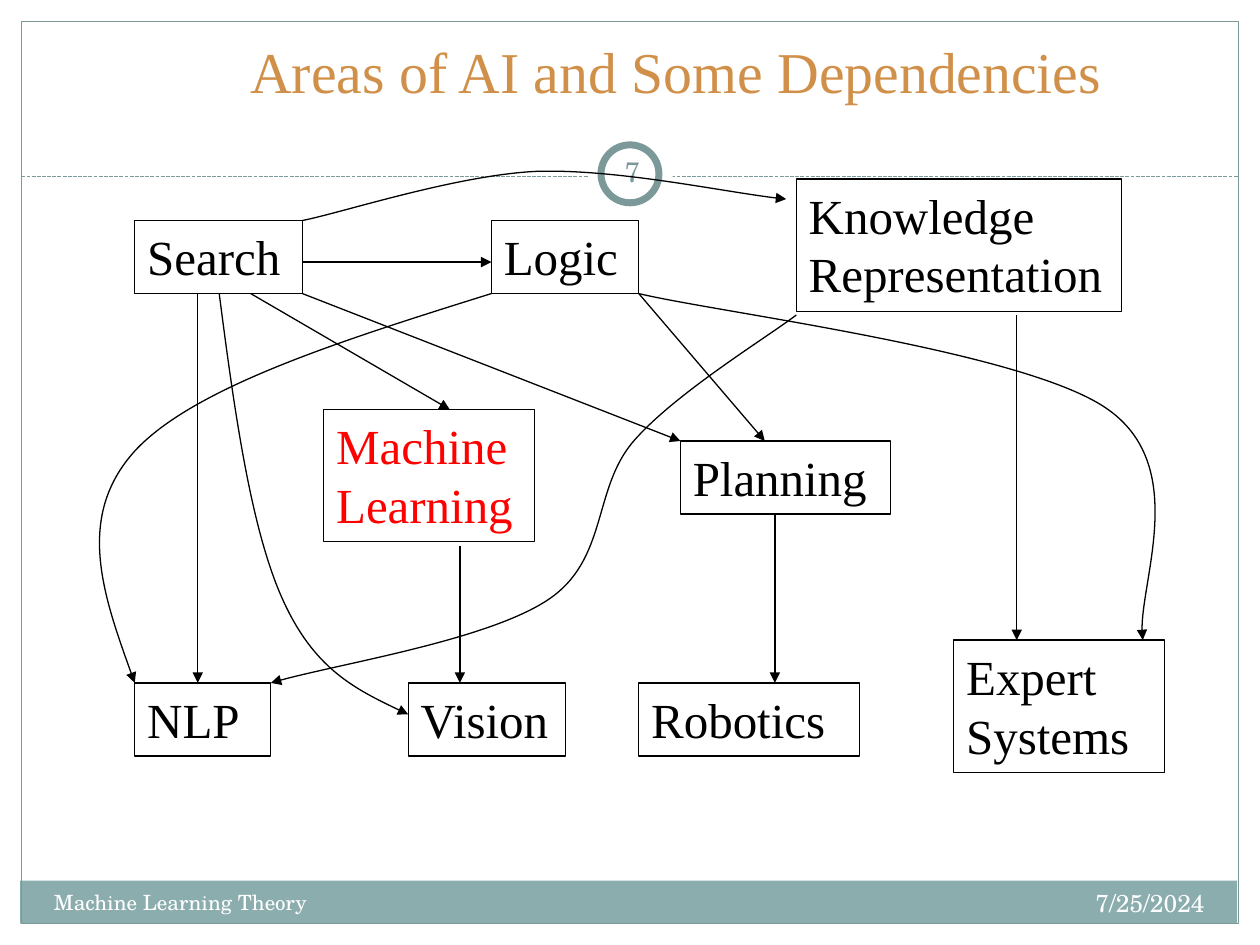
"""Build a slide that maps areas of AI and the dependencies between them."""
from typing import NamedTuple

from lxml import etree
from pptx import Presentation
from pptx.dml.color import RGBColor
from pptx.enum.dml import MSO_LINE
from pptx.enum.shapes import MSO_CONNECTOR, MSO_SHAPE
from pptx.enum.text import MSO_ANCHOR, PP_ALIGN
from pptx.oxml.ns import qn
from pptx.util import Inches, Pt

RECTANGLE, OVAL = MSO_SHAPE.RECTANGLE, MSO_SHAPE.OVAL
STRAIGHT, DASHED = MSO_CONNECTOR.STRAIGHT, MSO_LINE.SQUARE_DOT
TOP, MIDDLE, BOTTOM = MSO_ANCHOR.TOP, MSO_ANCHOR.MIDDLE, MSO_ANCHOR.BOTTOM
LEFT, CENTER, RIGHT = PP_ALIGN.LEFT, PP_ALIGN.CENTER, PP_ALIGN.RIGHT

COLORS = {
    "white": "FFFFFF",
    "black": "000000",
    "band": "8CADAE",
    "frame": "7C999A",
    "title": "D19049",
    "highlight": "FF0000",
}
SERIF, SCHOOL = "Times New Roman", "TeX Gyre Schola"
ONE_LINE, TWO_LINES = 0.58, 1.05

Point = tuple[float, float]


class Box(NamedTuple):
    left: float
    top: float
    width: float
    height: float


class Decoration(NamedTuple):
    box: Box
    kind: int
    fill: str | None = None
    line: str | None = None
    weight: float = 0.75


class Label(NamedTuple):
    text: str
    box: Box
    size: float
    font: str
    color: str
    align: int = LEFT
    anchor: int = TOP
    inset: float = 0.1


class Area(NamedTuple):
    text: str
    box: Box
    color: str = "black"


class Arrow(NamedTuple):
    start: Point
    end: Point


class Curve(NamedTuple):
    start: Point
    controls: list[Point]


DECORATIONS = [
    Decoration(Box(0.16, 6.99, 9.66, 0.34), RECTANGLE, "band"),
    Decoration(Box(0.17, 0.17, 9.66, 7.16), RECTANGLE, None, "frame"),
]
NUMBER_RING = [
    Decoration(Box(4.67, 1.05, 0.67, 0.67), OVAL, "white"),
    Decoration(Box(4.77, 1.15, 0.46, 0.46), OVAL, "white", "frame", 4),
]
LABELS = [
    Label("Areas of AI and Some Dependencies", Box(1.06, 0.16, 8.61, 0.72),
          33, SERIF, "title", CENTER, BOTTOM),
    Label("7/25/2024", Box(6.33, 7, 3.33, 0.4), 14, SCHOOL, "white", RIGHT),
    Label("Machine Learning Theory", Box(0.33, 7.01, 5.75, 0.4), 12, SCHOOL, "white"),
    Label("7", Box(4.77, 1.12, 0.5, 0.48), 16, SCHOOL, "frame", CENTER, MIDDLE, 0.05),
]
AREAS = [
    Area("Search", Box(1.07, 1.75, 1.33, ONE_LINE)),
    Area("Logic", Box(3.9, 1.75, 1.17, ONE_LINE)),
    Area("Knowledge Representation", Box(6.32, 1.42, 2.58, TWO_LINES)),
    Area("Machine Learning", Box(2.57, 3.25, 1.67, TWO_LINES), "highlight"),
    Area("Planning", Box(5.4, 3.5, 1.67, ONE_LINE)),
    Area("NLP", Box(1.07, 5.42, 1.08, ONE_LINE)),
    Area("Vision", Box(3.24, 5.42, 1.25, ONE_LINE)),
    Area("Robotics", Box(5.07, 5.42, 1.75, ONE_LINE)),
    Area("Expert Systems", Box(7.57, 5.08, 1.67, TWO_LINES)),
]
ARROWS = [
    Arrow((1.57, 2.33), (1.57, 5.42)),
    Arrow((2.4, 2.08), (3.9, 2.08)),
    Arrow((2.4, 2.33), (5.4, 3.5)),
    Arrow((1.99, 2.33), (3.57, 3.25)),
    Arrow((5.07, 2.33), (6.07, 3.5)),
    Arrow((8.07, 2.5), (8.07, 5.08)),
    Arrow((3.65, 4.33), (3.65, 5.42)),
    Arrow((6.15, 4.08), (6.15, 5.42)),
]
CURVES = [
    Curve((2.4, 1.75), [(2.71, 1.69), (3.62, 1.39), (4.26, 1.36),
                        (4.9, 1.34), (5.82, 1.54), (6.24, 1.58)]),
    Curve((1.74, 2.33), [(1.86, 3.26), (1.99, 4.19), (2.24, 4.75),
                         (2.49, 5.31), (2.86, 5.49), (3.24, 5.67)]),
    Curve((3.9, 2.33), [(2.72, 2.7), (1.54, 3.07), (1.07, 3.58),
                        (0.6, 4.1), (0.83, 4.76), (1.07, 5.42)]),
    Curve((5.07, 2.33), [(5.69, 2.48), (8.11, 2.78), (8.78, 3.24),
                         (9.44, 3.69), (9.01, 4.7), (9.07, 5.08)]),
    Curve((6.32, 2.5), [(6.1, 2.67), (5.36, 3.12), (5.03, 3.5),
                        (4.7, 3.88), (4.83, 4.44), (4.35, 4.76),
                        (3.87, 5.08), (2.61, 5.28), (2.15, 5.42)]),
]


def color_of(name: str) -> RGBColor:
    return RGBColor.from_string(COLORS[name])


def set_line(shape, color: str, weight: float = 0.75) -> None:
    shape.line.color.rgb = color_of(color)
    shape.line.width = Pt(weight)


def add_arrowhead(shape) -> None:
    outline = shape.element.spPr.find(qn("a:ln"))
    etree.SubElement(outline, qn("a:tailEnd"), type="triangle")


def draw_decoration(slide, item: Decoration):
    shape = slide.shapes.add_shape(item.kind, *map(Inches, item.box))
    shape.shadow.inherit = False
    if item.fill:
        shape.fill.solid()
        shape.fill.fore_color.rgb = color_of(item.fill)
    else:
        shape.fill.background()
    if item.line:
        set_line(shape, item.line, item.weight)
    else:
        shape.line.fill.background()
    return shape


def write_text(shape, label: Label) -> None:
    frame = shape.text_frame
    frame.word_wrap = True
    frame.vertical_anchor = label.anchor
    frame.margin_left = frame.margin_right = Inches(label.inset)
    frame.margin_top = frame.margin_bottom = Inches(0.05)
    paragraph = frame.paragraphs[0]
    paragraph.alignment = label.align
    run = paragraph.add_run()
    run.text = label.text
    run.font.size = Pt(label.size)
    run.font.name = label.font
    run.font.color.rgb = color_of(label.color)


def draw_area(slide, area: Area) -> None:
    shape = draw_decoration(slide, Decoration(area.box, RECTANGLE, None, "black"))
    write_text(shape, Label(area.text, area.box, 28, SERIF, area.color))


def draw_line(slide, line: Arrow, color: str):
    connector = slide.shapes.add_connector(STRAIGHT, *map(Inches, line.start + line.end))
    set_line(connector, color)
    etree.SubElement(connector.element.spPr, qn("a:effectLst"))
    return connector


def draw_curve(slide, curve: Curve) -> None:
    builder = slide.shapes.build_freeform(*map(Inches, curve.start))
    points = [(Inches(x), Inches(y)) for x, y in curve.controls]
    builder.add_line_segments(points, close=False)
    shape = builder.convert_to_shape()
    shape.shadow.inherit = False
    shape.fill.background()
    set_line(shape, "black")
    add_arrowhead(shape)
    segments = list(shape.element.iter(qn("a:lnTo")))
    for first in range(0, len(segments), 3):
        bezier = etree.Element(qn("a:cubicBezTo"))
        segments[first].addprevious(bezier)
        for segment in segments[first:first + 3]:
            bezier.append(segment[0])
            segment.getparent().remove(segment)


def main() -> None:
    presentation = Presentation()
    presentation.slide_width, presentation.slide_height = Inches(10), Inches(7.5)
    slide = presentation.slides.add_slide(presentation.slide_layouts[6])
    for item in DECORATIONS:
        draw_decoration(slide, item)
    draw_line(slide, Arrow((0.17, 1.4), (9.83, 1.4)), "frame").line.dash_style = DASHED
    for item in NUMBER_RING:
        draw_decoration(slide, item)
    for label in LABELS:
        write_text(slide.shapes.add_textbox(*map(Inches, label.box)), label)
    for area in AREAS:
        draw_area(slide, area)
    for arrow in ARROWS:
        add_arrowhead(draw_line(slide, arrow, "black"))
    for curve in CURVES:
        draw_curve(slide, curve)
    presentation.save("out.pptx")


if __name__ == "__main__":
    main()
